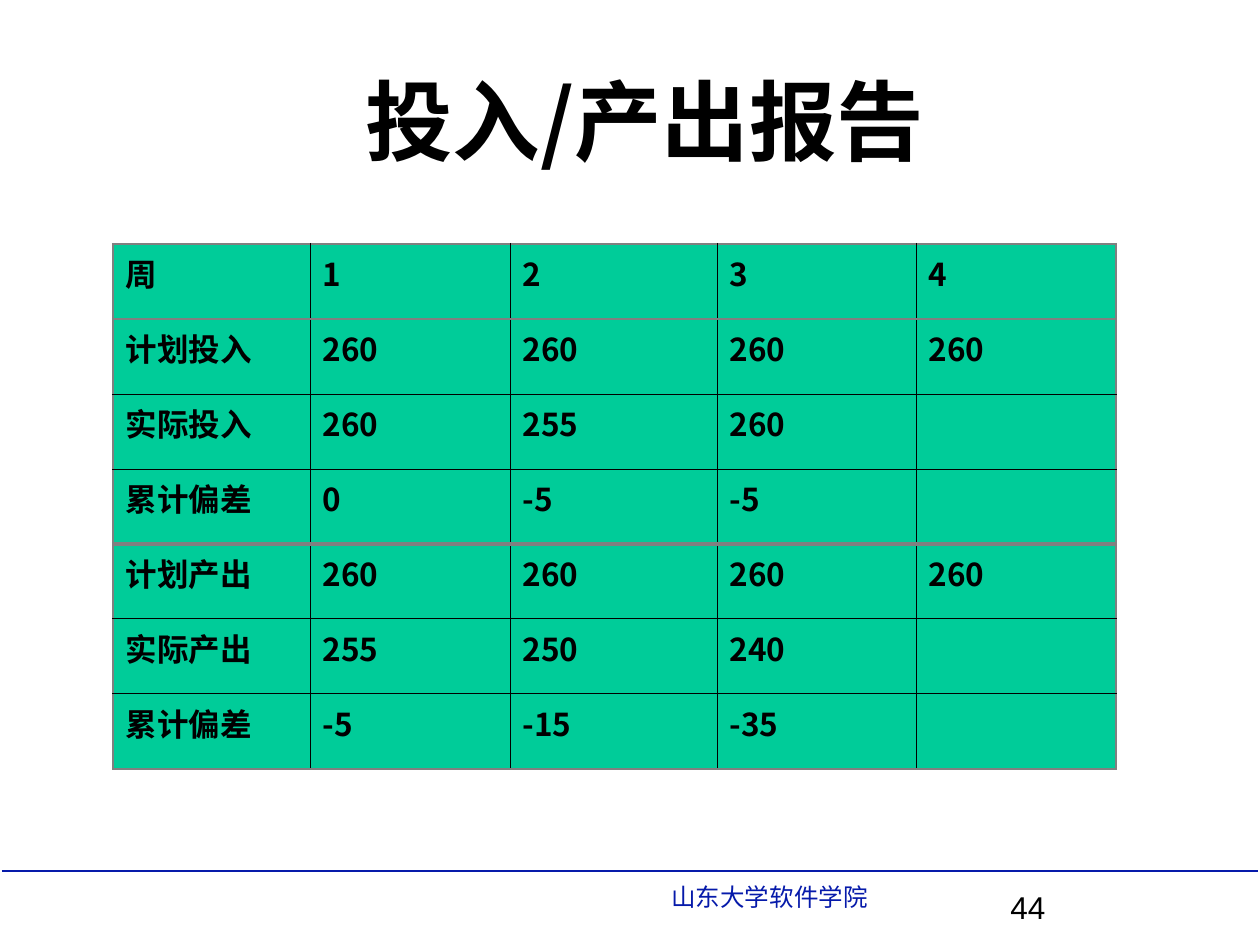
from dataclasses import dataclass

from lxml import etree
from pptx import Presentation
from pptx import util as u
from pptx.dml.color import RGBColor
from pptx.enum import shapes, text
from pptx.oxml.ns import qn

PX = 914400 // 126  # EMU in one px


@dataclass(frozen=True)
class Theme:
    ink: str = "000000"
    footer: str = "061AAA"
    cell: str = "00CC99"
    rule: str = "808080"
    latin: str = "Arial"
    cjk: str = "Noto Sans CJK SC"
    title_pt: int = 50
    body_pt: int = 18
    footer_pt: int = 14


T = Theme()

TITLE = "投入/产出报告"
FOOTER = "山东大学软件学院"
PAGE = "44"
ROWS = [
    ("周", "1", "2", "3", "4"),
    ("计划投入", "260", "260", "260", "260"),
    ("实际投入", "260", "255", "260", ""),
    ("累计偏差", "0", "-5", "-5", ""),
    ("计划产出", "260", "260", "260", "260"),
    ("实际产出", "255", "250", "240", ""),
    ("累计偏差", "-5", "-15", "-35", ""),
]
COL_WIDTHS = [197, 200, 207, 199, 200]
ROW_HEIGHT = 75
TABLE_LEFT, TABLE_TOP = 113, 244

# Border styles: colour and width in points
THIN, FRAME, DIVIDER = (T.ink, 0.45), (T.rule, 1.47), (T.rule, 2.21)
# Horizontal edges, counted from the table top, that are not thin
ROW_EDGES = {0: FRAME, 1: FRAME, 4: DIVIDER, len(ROWS): FRAME}
COL_EDGES = {0: FRAME, len(COL_WIDTHS): FRAME}


def style(p, size, font, color, bold=False):
    p.font.size = u.Pt(size)
    p.font.name = font
    p.font.bold = bold
    p.font.color.rgb = RGBColor.from_string(color)


def add_text(s, box, words, size, font, color, bold=False,
             align=text.PP_ALIGN.LEFT, spacing=1.0):
    tf = s.shapes.add_textbox(*(v * PX for v in box)).text_frame
    tf.word_wrap = True
    p = tf.paragraphs[0]
    p.text = words
    p.alignment = align
    p.line_spacing = spacing
    style(p, size, font, color, bold)


def set_borders(cell, edges):
    """Draw edges, given in the order left, right, top, bottom."""
    tc_pr = cell._tc.get_or_add_tcPr()
    for i, (side, (color, width)) in enumerate(zip("LRTB", edges)):
        ln = etree.Element(qn(f"a:ln{side}"), w=str(u.Pt(width)))
        fill = etree.SubElement(ln, qn("a:solidFill"))
        etree.SubElement(fill, qn("a:srgbClr"), val=color)
        tc_pr.insert(i, ln)


def add_report_table(s):
    table = s.shapes.add_table(
        len(ROWS), len(COL_WIDTHS), TABLE_LEFT * PX, TABLE_TOP * PX,
        sum(COL_WIDTHS) * PX, len(ROWS) * ROW_HEIGHT * PX).table
    for column, width in zip(table.columns, COL_WIDTHS):
        column.width = width * PX
    for r, values in enumerate(ROWS):
        table.rows[r].height = ROW_HEIGHT * PX
        for c, value in enumerate(values):
            cell = table.cell(r, c)
            cell.fill.solid()
            cell.fill.fore_color.rgb = RGBColor.from_string(T.cell)
            p = cell.text_frame.paragraphs[0]
            p.text = value
            p.alignment = text.PP_ALIGN.JUSTIFY
            style(p, T.body_pt, T.cjk, T.ink, True)
            set_borders(cell, [COL_EDGES.get(c, THIN), COL_EDGES.get(c + 1, THIN),
                               ROW_EDGES.get(r, THIN), ROW_EDGES.get(r + 1, THIN)])


def add_footer_line(s):
    line = s.shapes.add_connector(
        shapes.MSO_CONNECTOR.STRAIGHT, 2 * PX, 871 * PX, 1258 * PX, 871 * PX)
    line.line.color.rgb = RGBColor.from_string(T.footer)
    line.line.width = u.Pt(1)
    etree.SubElement(line._element.spPr, qn("a:effectLst"))


def main():
    prs = Presentation()
    prs.slide_width, prs.slide_height = 1260 * PX, 945 * PX
    s = prs.slides.add_slide(prs.slide_layouts[6])
    add_footer_line(s)
    add_text(s, (659, 879, 546, 43), FOOTER, T.footer_pt, T.latin, T.footer,
             spacing=0.9)
    add_text(s, (998, 882, 262, 63), PAGE, T.body_pt, T.latin, T.ink)
    add_report_table(s)
    add_text(s, (283, 73, 724, 118), TITLE, T.title_pt, T.cjk, T.ink, True,
             text.PP_ALIGN.CENTER, spacing=0.9)
    prs.save("out.pptx")


if __name__ == "__main__":
    main()
